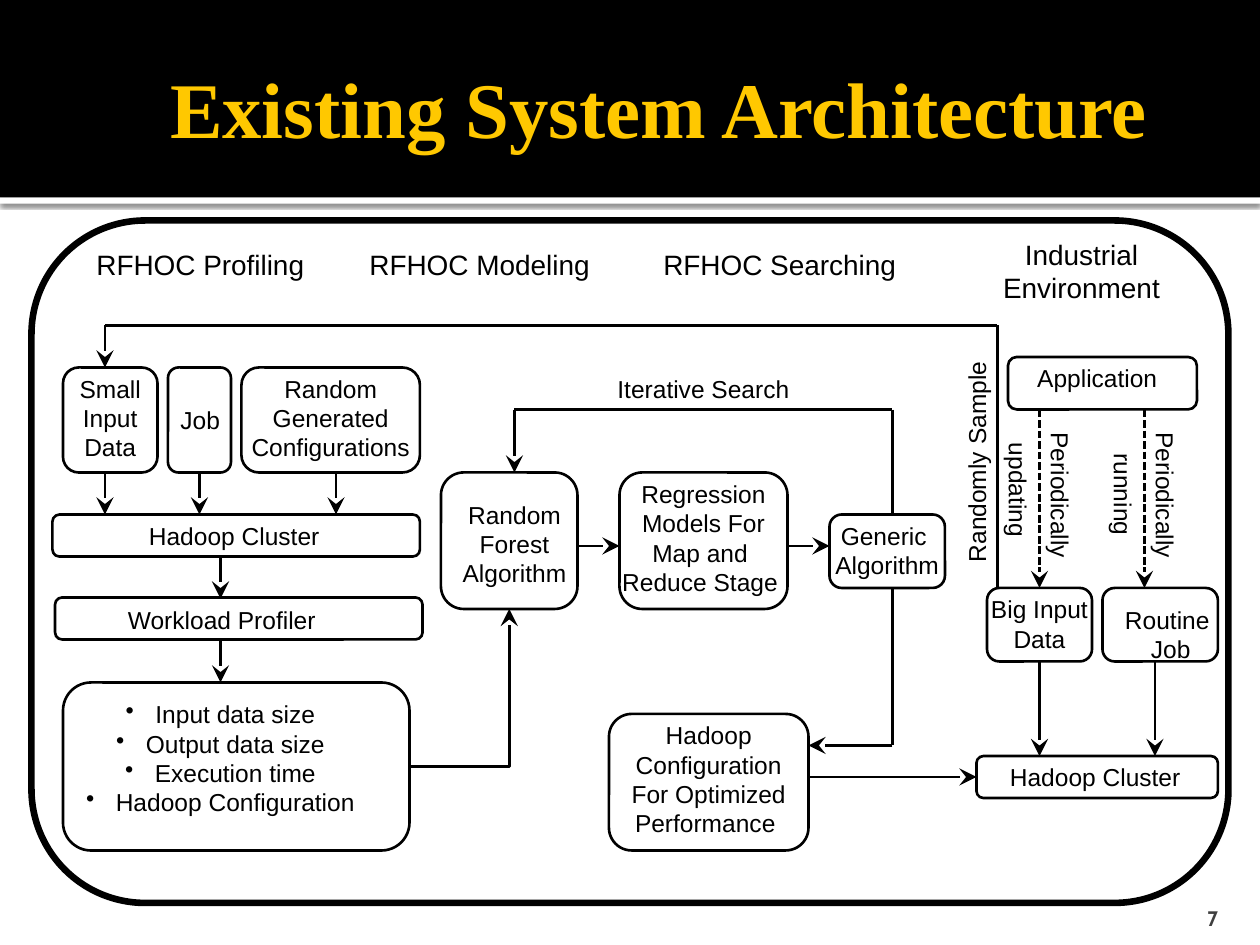
from lxml.etree import SubElement
from pptx import Presentation
from pptx.dml.color import RGBColor
from pptx.enum.dml import MSO_LINE
from pptx.enum.shapes import MSO_CONNECTOR, MSO_SHAPE
from pptx.enum.text import MSO_ANCHOR, MSO_AUTO_SIZE, PP_ALIGN
from pptx.oxml.ns import qn
from pptx.util import Inches, Pt

THEME = {
    "black": RGBColor(0, 0, 0),
    "white": RGBColor(255, 255, 255),
    "gold": RGBColor(0xFF, 0xC8, 0x00),
    "gray": RGBColor(0x3F, 0x3F, 0x3F),
    "title_font": "Times New Roman",
    "body_font": "Arial",
    "number_font": "Cabin",
    "title_size": 45,
    "heading_size": 16,
    "label_size": 14,
    "number_size": 12,
    "line": Pt(1.5),
    "frame_line": Pt(3.78),
}
LEFT, CENTER = PP_ALIGN.LEFT, PP_ALIGN.CENTER

presentation = Presentation()
presentation.slide_width, presentation.slide_height = Inches(10), Inches(7.5)
CELL = presentation.slide_width / 120
slide = presentation.slides.add_slide(presentation.slide_layouts[5])
shapes = slide.shapes


def add_label(left, top, width, lines, text, align=CENTER, size=THEME["label_size"], rotation=0):
    height = 1.2 + lines * size * 0.2
    label = shapes.add_textbox(*(int(v * CELL) for v in (left, top, width, height)))
    label.rotation = rotation
    frame = label.text_frame
    frame.word_wrap = True
    frame.auto_size = MSO_AUTO_SIZE.SHAPE_TO_FIT_TEXT
    frame.text = text
    for paragraph in frame.paragraphs:
        paragraph.alignment = align
        paragraph.font.name = THEME["body_font"]
        paragraph.font.size = Pt(size)
        paragraph.font.color.rgb = THEME["black"]
    return label


def add_line(start, end, arrow=True, dashed=False, kind=MSO_CONNECTOR.STRAIGHT):
    connector = shapes.add_connector(kind, *(int(v * CELL) for v in (*start, *end)))
    connector.line.color.rgb = THEME["black"]
    connector.line.width = THEME["line"]
    if dashed:
        connector.line.dash_style = MSO_LINE.SQUARE_DOT
    properties = connector.element.spPr
    if arrow:
        SubElement(properties.find(qn("a:ln")), qn("a:tailEnd"), type="stealth", w="lg", len="lg")
    SubElement(properties, qn("a:effectLst"))
    return connector


for top, height, color in ((18.8, 0.6, "white"), (0, 18.8, "black")):
    band = shapes.add_shape(MSO_SHAPE.RECTANGLE, 0, int(top * CELL), presentation.slide_width, int(height * CELL))
    band.fill.solid()
    band.fill.fore_color.rgb = THEME[color]
    band.line.fill.background()
    band.shadow.inherit = False
    if color == "white":
        effects = band.element.spPr.find(qn("a:effectLst"))
        shadow = SubElement(effects, qn("a:outerShdw"), blurRad=str(Pt(2.5)), dist=str(Pt(0.8)),
                            dir="5400000", algn="t", rotWithShape="0")
        shadow_color = SubElement(shadow, qn("a:srgbClr"), val="000000")
        SubElement(shadow_color, qn("a:alpha"), val="60000")

title = shapes.title
shapes.element.append(title.element)
title.left, title.top, title.width, title.height = (int(v * CELL) for v in (15, 2, 108, 16.4))
frame = title.text_frame
frame.text = "Existing System Architecture"
frame.auto_size = MSO_AUTO_SIZE.NONE
frame.vertical_anchor = MSO_ANCHOR.MIDDLE
frame.margin_right = Inches(0.05)
paragraph = frame.paragraphs[0]
paragraph.alignment = LEFT
paragraph.font.name = THEME["title_font"]
paragraph.font.size = Pt(THEME["title_size"])
paragraph.font.bold = True
paragraph.font.color.rgb = THEME["gold"]

number = add_label(107.6, 85, 9.6, 1, "7", PP_ALIGN.RIGHT, THEME["number_size"])
number.text_frame.auto_size = MSO_AUTO_SIZE.NONE
number.text_frame.vertical_anchor = MSO_ANCHOR.BOTTOM
number.text_frame.margin_bottom = 0
paragraph = number.text_frame.paragraphs[0]
paragraph.font.name = THEME["number_font"]
paragraph.font.bold = True
paragraph.font.color.rgb = THEME["gray"]

outer_frame = (3, 21, 114, 65)
boxes = (
    outer_frame,
    (6, 35, 9, 10), (16, 35, 6, 10), (23, 35, 17, 10),
    (5, 49, 35, 4), (5.25, 56.9, 35, 4), (6, 65, 33, 16),
    (42, 45, 13, 13), (59, 45, 16, 13), (79, 49, 11, 7), (58, 68, 19, 13),
    (96, 34, 18, 5), (105, 56, 11, 7), (94, 56, 10, 7), (93, 72, 23, 4),
)
for box in boxes:
    shape = shapes.add_shape(MSO_SHAPE.ROUNDED_RECTANGLE, *(int(v * CELL) for v in box))
    shape.fill.solid()
    shape.fill.fore_color.rgb = THEME["white"]
    shape.line.color.rgb = THEME["black"]
    shape.line.width = THEME["frame_line" if box == outer_frame else "line"]
    shape.shadow.inherit = False

for left, top, width, lines, text, align in (
    (8, 23, 26, 1, "RFHOC Profiling", LEFT),
    (34, 23, 28, 1, "RFHOC Modeling", LEFT),
    (62, 23, 29, 1, "RFHOC Searching", LEFT),
    (90, 22, 26, 2, "Industrial\nEnvironment", CENTER),
):
    add_label(left, top, width, lines, text, align, THEME["heading_size"])

for label in (
    (4, 35, 13, 3, "Small\nInput\nData"),
    (16, 38, 9, 1, "Job", LEFT),
    (22, 35, 19, 3, "Random\nGenerated\nConfigurations"),
    (13, 49, 25, 1, "Hadoop Cluster", LEFT),
    (11, 57, 24, 1, "Workload Profiler", LEFT),
    (41, 47, 16, 3, "Random\nForest\nAlgorithm"),
    (58, 45, 18, 4, "Regression\nModels For Map and \nReduce Stage "),
    (75, 49, 19, 2, "Generic \nAlgorithm"),
    (58, 68, 19, 4, "Hadoop\nConfiguration\nFor Optimized\nPerformance "),
    (97, 34, 15, 1, "Application"),
    (103, 57, 17, 2, "Routine \nJob"),
    (93, 56, 12, 2, "Big Input\nData"),
    (95, 72, 19, 1, "Hadoop Cluster", LEFT),
    (56, 35, 22, 1, "Iterative Search"),
):
    add_label(*label)

for left, top, width, text, align, rotation in (
    (93.5, 45.5, 15, "Periodically", LEFT, 90),
    (89.5, 46.5, 15, "updating", LEFT, 90),
    (103.5, 45.5, 15, "Periodically", LEFT, 90),
    (101.3, 45.7, 11.4, "running", LEFT, 90),
    (82, 42, 22, "Randomly Sample", CENTER, 270),
):
    add_label(left, top, width, 1, text, align, rotation=rotation)

metrics = add_label(7, 66, 30, 4, "Input data size\nOutput data size\nExecution time\nHadoop Configuration")
for paragraph in metrics.text_frame.paragraphs:
    SubElement(paragraph.element.get_or_add_pPr() if hasattr(paragraph, "element") else paragraph._p.get_or_add_pPr(),
               qn("a:buChar"), char="•")
    properties = paragraph._p.pPr
    properties.insert(0, properties.find(qn("a:buChar")))

for start, end in (
    ((10, 45), (10, 49)), ((19, 45), (19, 49)), ((32, 45), (32, 49)),
    ((21, 53), (21, 57)), ((21, 61), (21, 65)),
    ((55, 52), (59, 52)), ((75, 52), (79, 52)),
    ((85, 71), (77, 71)), ((77, 74), (93, 74)),
    ((99, 63), (99, 72)), ((110, 63), (110, 72)),
    ((10, 31), (10, 35)), ((49, 39), (49, 45)),
):
    add_line(start, end)

for start, end in (
    ((85, 56), (85, 71)), ((85, 39), (85, 49)), ((85, 39), (49, 39)),
    ((95, 31), (95, 56)), ((95, 31), (10, 31)),
):
    add_line(start, end, arrow=False)

for column in (99, 109):
    add_line((column, 39), (column, 56), dashed=True)

feedback = add_line((39, 73), (48.5, 58), kind=MSO_CONNECTOR.ELBOW)
feedback.element.spPr.find(qn("a:prstGeom")).set("prst", "bentConnector2")

presentation.save("out.pptx")
